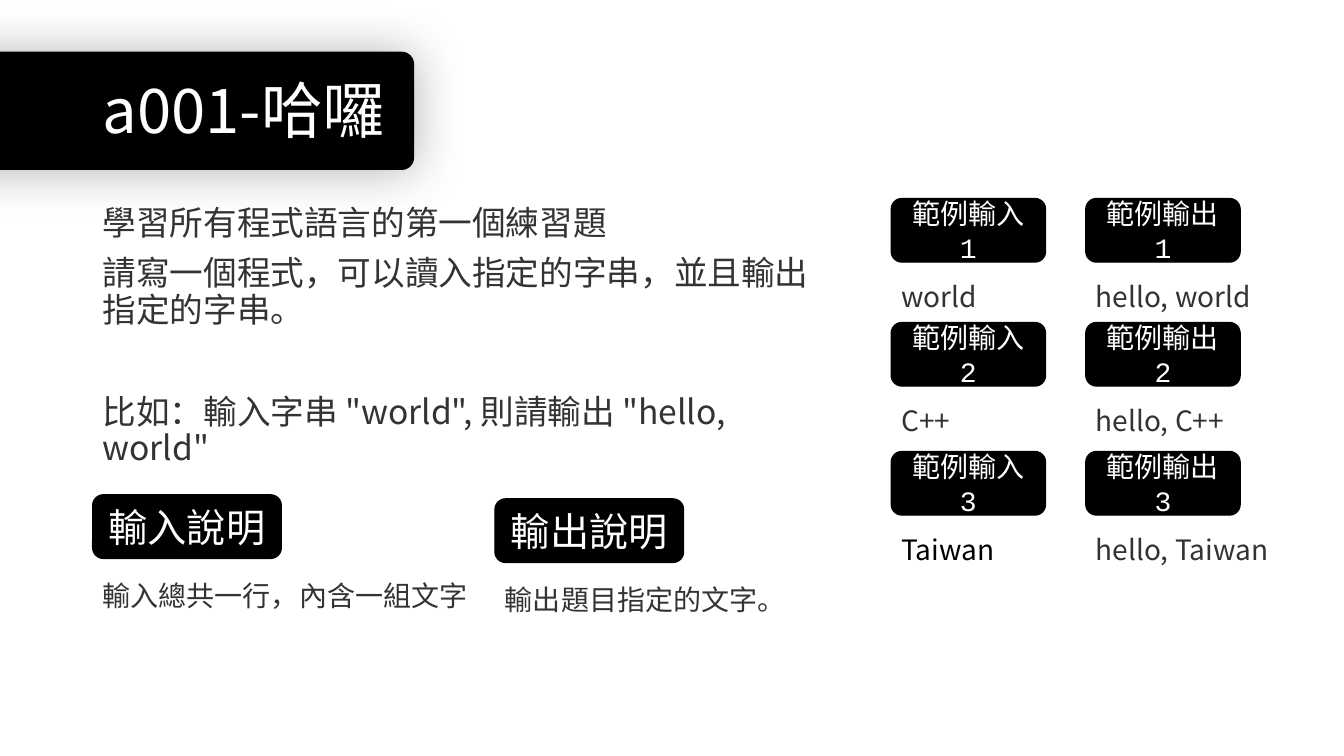
from lxml import etree
from pptx import Presentation
from pptx.dml.color import RGBColor
from pptx.enum.shapes import MSO_SHAPE as SHAPE
from pptx.enum.text import MSO_ANCHOR as ANCHOR, PP_ALIGN as ALIGN
from pptx.oxml.ns import qn
from pptx.util import Pt

# Content
TITLE = "a001-哈囉"
# text, space before in points
BODY = [
    ("學習所有程式語言的第一個練習題", 0),
    ("請寫一個程式，可以讀入指定的字串，並且輸出指定的字串。", 10),
    ('比如：輸入字串 "world", 則請輸出 "hello, world"', 47),
]
# heading, explanation, left, top, explanation width
NOTES = [
    ("輸入說明", "輸入總共一行，內含一組文字", 92, 491, 389),
    ("輸出說明", "輸出題目指定的文字。", 491, 495, 374),
]
# top, input, output, input colour
GRAY, BLACK, WHITE = "333333", "000000", "FFFFFF"
SAMPLES = [
    (197, "world", "hello, world", GRAY),
    (320, "C++", "hello, C++", GRAY),
    (448, "Taiwan", "hello, Taiwan", BLACK),
]
# label, left, text width
COLUMNS = [("範例輸入", 884, 153), ("範例輸出", 1077, 209)]

SANS, MONO = "Noto Sans CJK TC", "Courier New"
PX = 9144  # 100 px to the inch
CHIP_H, NOTE_W, SAMPLE_W = 63, 187, 153
NOTE_DROP, SAMPLE_DROP = 78, 75

prs = Presentation()
prs.slide_width, prs.slide_height = 1333 * PX, 750 * PX
s = prs.slides.add_slide(prs.slide_layouts[6])


def rgb(value):
    return RGBColor.from_string(value)


def add_run(p, text, size, font, color):
    r = p.add_run()
    r.text = text
    r.font.size, r.font.name = Pt(size), font
    r.font.color.rgb = rgb(color)
    if font == SANS:
        ea = etree.SubElement(r.font._element, qn("a:ea"))
        ea.set("typeface", font)


def add_box(x, y, w, h, anchor=ANCHOR.TOP):
    tf = s.shapes.add_textbox(x * PX, y * PX, w * PX, h * PX).text_frame
    tf.word_wrap = True
    tf.vertical_anchor = anchor
    return tf


def add_bar(x, y, w, h):
    sp = s.shapes.add_shape(SHAPE.ROUNDED_RECTANGLE, x * PX, y * PX, w * PX, h * PX)
    sp.shadow.inherit = False
    sp.fill.solid()
    sp.fill.fore_color.rgb = rgb(BLACK)
    sp.line.color.rgb = rgb(BLACK)
    sp.line.width = Pt(1)
    return sp


def add_chip(text, x, y, w, size):
    tf = add_bar(x, y, w, CHIP_H).text_frame
    tf.word_wrap = True
    tf.vertical_anchor = ANCHOR.MIDDLE
    p = tf.paragraphs[0]
    p.alignment = ALIGN.CENTER
    add_run(p, text, size, MONO, WHITE)


def add_caption(text, x, y, w, color=GRAY):
    add_run(add_box(x, y, w, 44).paragraphs[0], text, 20, SANS, color)


# Title banner with a soft glow-like shadow
banner = add_bar(-212, 52, 622, 116)
banner.adjustments[0] = 0.1
effects = banner._element.spPr.find(qn("a:effectLst"))
shadow = etree.SubElement(effects, qn("a:outerShdw"), blurRad=str(Pt(36)),
                          dist="0", dir="0", algn="ctr", rotWithShape="0")
tint = etree.SubElement(shadow, qn("a:srgbClr"), val=BLACK)
etree.SubElement(tint, qn("a:alpha"), val="30000")

# Problem statement
tf = add_box(92, 200, 730, 280)
for i, (text, before) in enumerate(BODY):
    p = tf.add_paragraph() if i else tf.paragraphs[0]
    p.line_spacing = 0.9
    if before:
        p.space_before = Pt(before)
    add_run(p, text, 24, SANS, GRAY)

# Title
p = add_box(92, 40, 1150, 145, ANCHOR.MIDDLE).paragraphs[0]
p.line_spacing = 0.9
add_run(p, TITLE, 44, SANS, WHITE)

# Input and output explanations
for heading, text, x, y, w in NOTES:
    add_chip(heading, x, y, NOTE_W, 28)
    add_caption(text, x, y + NOTE_DROP, w)

# Numbered samples
for n, (y, given, result, color) in enumerate(SAMPLES, 1):
    for (label, x, w), text, c in zip(COLUMNS, (given, result), (color, GRAY)):
        add_chip(f"{label}{n}", x, y, SAMPLE_W, 20)
        add_caption(text, x, y + SAMPLE_DROP, w, c)

prs.save("out.pptx")
